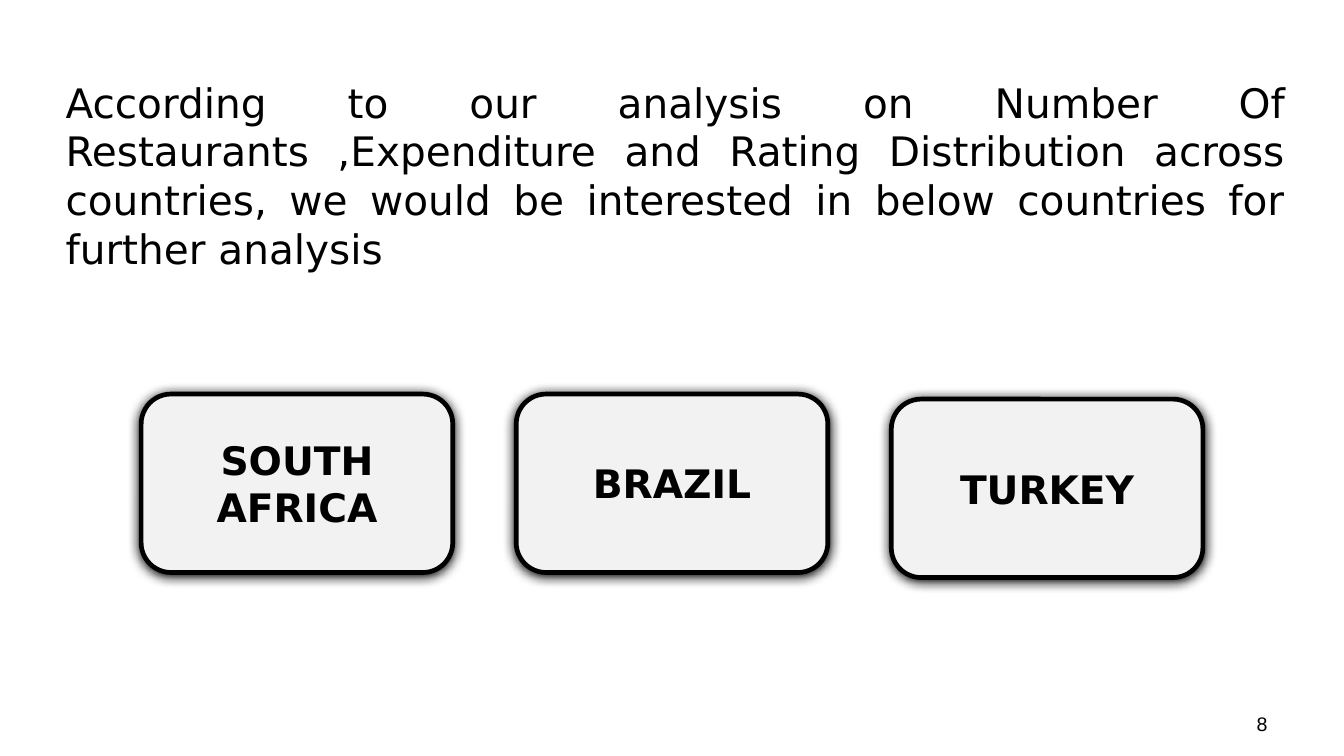
from dataclasses import dataclass

from lxml import etree
from pptx import Presentation
from pptx.dml.color import RGBColor
from pptx.enum.shapes import MSO_SHAPE
from pptx.enum.text import MSO_ANCHOR, MSO_AUTO_SIZE, PP_ALIGN
from pptx.oxml.ns import qn
from pptx.util import Emu, Pt

ROUND = MSO_SHAPE.ROUNDED_RECTANGLE
TOP, MIDDLE, BOTTOM = MSO_ANCHOR.TOP, MSO_ANCHOR.MIDDLE, MSO_ANCHOR.BOTTOM
CENTER, RIGHT, JUSTIFY = PP_ALIGN.CENTER, PP_ALIGN.RIGHT, PP_ALIGN.JUSTIFY
FIXED = MSO_AUTO_SIZE.NONE
SCALE = 9144


@dataclass(frozen=True)
class Theme:
    """Colours, fonts and type sizes of the slide."""
    ink: str = "000000"
    paper: str = "FFFFFF"
    card: str = "F2F2F2"
    font: str = "DejaVu Sans"
    plain: str = "Arial"
    lead: int = 29
    label: int = 28
    small: int = 14
    edge: float = 3.35
    blur: float = 8.5
    drop: float = 1


THEME = Theme()
LEAD = (
    "According to our analysis on Number Of Restaurants ,Expenditure and "
    "Rating Distribution across countries, we would be interested in below "
    "countries for further analysis"
)
CARDS = (("SOUTH AFRICA", 0), ("BRAZIL", 0), ("TURKEY", 5))


def px(*sizes):
    """Turn lengths in px into EMU."""
    return [Emu(size * SCALE) for size in sizes]


def write(frame, text, size, align, anchor, font=THEME.font, bold=False):
    """Put one styled run of text into a frame."""
    frame.word_wrap = True
    frame.auto_size = FIXED
    frame.vertical_anchor = anchor
    frame.margin_left, frame.margin_right = px(10, 10)
    frame.margin_top, frame.margin_bottom = px(5, 5)
    para = frame.paragraphs[0]
    para.alignment = align
    run = para.add_run()
    run.text = text
    run.font.name = font
    run.font.size = Pt(size)
    run.font.bold = bold
    run.font.color.rgb = RGBColor.from_string(THEME.ink)


def glow(shape):
    """Give a shape its soft dark shadow."""
    shape.shadow.inherit = False
    effects = shape._element.spPr.find(qn("a:effectLst"))
    shade = etree.SubElement(
        effects, qn("a:outerShdw"), blurRad=str(Pt(THEME.blur)),
        dist=str(Pt(THEME.drop)), dir="5400000", algn="ctr", rotWithShape="0",
    )
    etree.SubElement(shade, qn("a:srgbClr"), val=THEME.ink)


def draw_lead(slide, box):
    """Place the opening statement in the title placeholder."""
    title = slide.shapes.title
    title.left, title.top, title.width, title.height = px(*box)
    write(title.text_frame, LEAD, THEME.lead, JUSTIFY, TOP)


def draw_card(slide, box, name):
    """Draw one country card."""
    card = slide.shapes.add_shape(ROUND, *px(*box))
    card.adjustments[0] = 0.167
    card.fill.solid()
    card.fill.fore_color.rgb = RGBColor.from_string(THEME.card)
    card.line.color.rgb = RGBColor.from_string(THEME.ink)
    card.line.width = Pt(THEME.edge)
    glow(card)
    write(card.text_frame, name, THEME.label, CENTER, MIDDLE, bold=True)


def draw_cards(slide, box, gap=63):
    """Spread the country cards evenly across the box."""
    left, top, width, height = box
    count = len(CARDS)
    wide = (width - gap * (count - 1)) // count
    for index, (name, shift) in enumerate(CARDS):
        spot = left + index * (wide + gap), top + shift, wide, height
        draw_card(slide, spot, name)


def draw_page(slide, box):
    """Place the page number."""
    page = slide.shapes.add_textbox(*px(*box))
    write(page.text_frame, "8", THEME.small, RIGHT, BOTTOM, THEME.plain)


def main():
    """Build and save the slide."""
    deck = Presentation()
    deck.slide_width, deck.slide_height = px(1333, 750)
    slide = deck.slides.add_slide(deck.slide_layouts[5])
    slide.background.fill.solid()
    slide.background.fill.fore_color.rgb = RGBColor.from_string(THEME.paper)
    draw_lead(slide, (55, 72, 1231, 187))
    draw_cards(slide, (140, 391, 1053, 177))
    draw_page(slide, (956, 683, 311, 52))
    deck.save("out.pptx")


if __name__ == "__main__":
    main()
